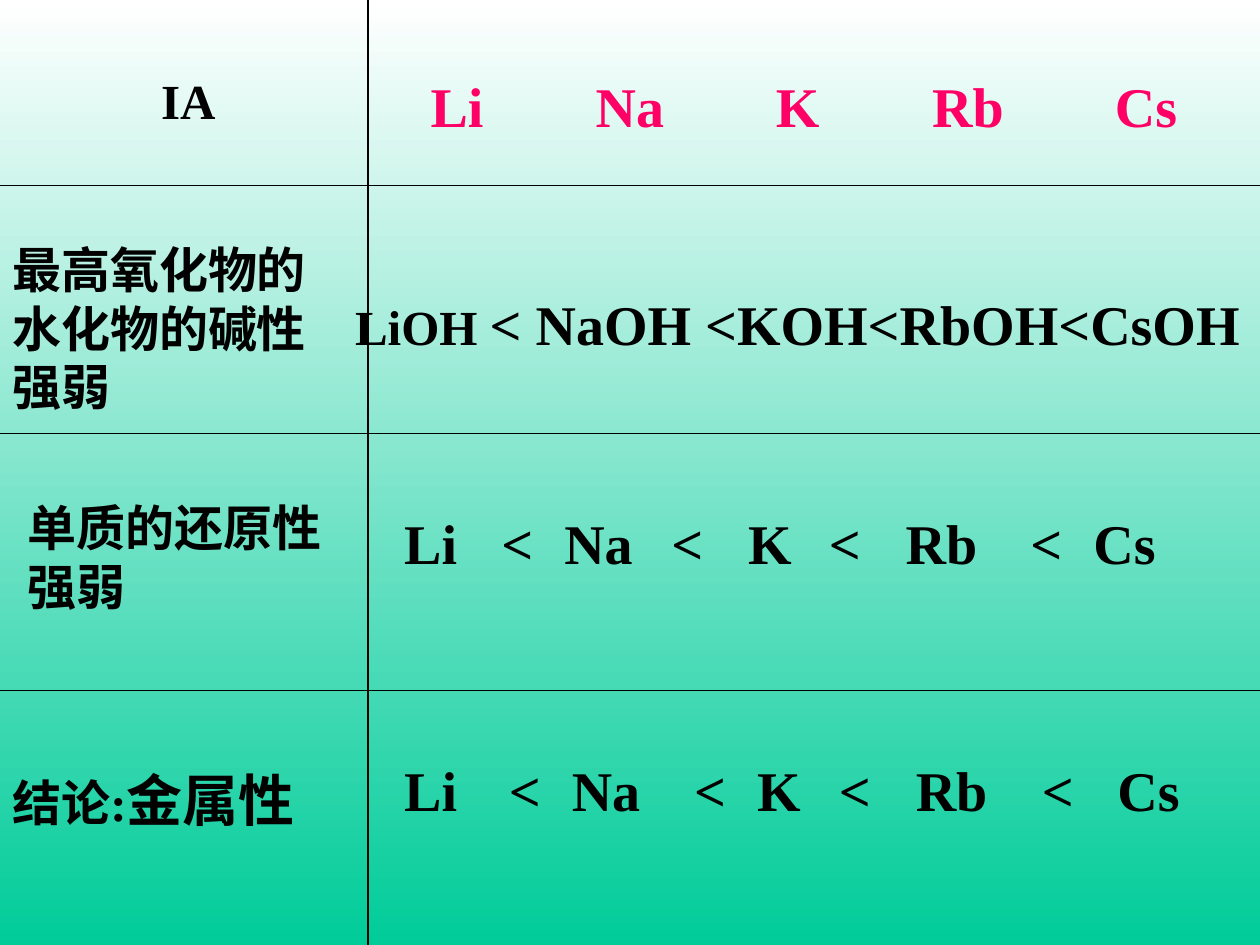
import pptx
import pptx.dml.color
import pptx.enum.shapes
import pptx.enum.text
import pptx.oxml
import pptx.oxml.ns
import pptx.util
from pptx.util import Inches

WIDTH, HEIGHT = 10, 7.5
BLACK, PINK = "000000", "FF0066"
BACKGROUND = ("FFFFFF", "00CC99")
ROW_LINES = (1.47, 3.44, 5.48)
COLUMN_LINE = 2.92
FONT = {"name": "Times New Roman", "bold": True}
FRAME = {"word_wrap": True, "auto_size": pptx.enum.text.MSO_AUTO_SIZE.NONE}

# (left, top, width, height), [(text, size, colour)]
LABELS = [
    ((1.18, 0.51, 0.9, 0.57), [("IA", 28, BLACK)]),
    ((0, 1.85, 2.83, 1.5), [("最高氧化物的水化物的碱性强弱", 28, BLACK)]),
    ((2.72, 2.25, 7.28, 0.71),
     [("LiOH ", 28, BLACK), ("< NaOH <KOH<RbOH<CsOH", 32, BLACK)]),
    ((0.12, 3.9, 2.75, 1.04), [("单质的还原性强弱", 28, BLACK)]),
    ((0, 6.03, 2.72, 0.64), [("结论:", 28, BLACK), ("金属性", 32, BLACK)]),
]

# (left, top, width, height), separator, colour, tab stops from the text edge
ELEMENTS = ["Li", "Na", "K", "Rb", "Cs"]
SERIES = [
    ((3.32, 0.52, 6.43, 0.64), "\t", PINK, (1.31, 2.74, 3.98, 5.43)),
    ((3.11, 3.99, 6.75, 0.71), "\t<\t", BLACK,
     (0.77, 1.27, 2.12, 2.73, 3.37, 3.98, 4.97, 5.47)),
    ((3.11, 5.95, 6.69, 0.64), "\t<\t", BLACK,
     (0.83, 1.33, 2.3, 2.8, 3.45, 4.06, 5.06, 5.66)),
]


def rgb(colour):
    return pptx.dml.color.RGBColor.from_string(colour)


def set_values(target, values):
    for name, value in values.items():
        setattr(target, name, value)


def add_rule(slide, start, end):
    connector = slide.shapes.add_connector(
        pptx.enum.shapes.MSO_CONNECTOR.STRAIGHT,
        *(Inches(value) for value in start + end))
    connector.line.color.rgb = rgb(BLACK)
    connector.line.width = pptx.util.Pt(0.75)
    properties = connector._element.spPr
    properties.append(pptx.oxml.parse_xml(
        f"<a:effectLst {pptx.oxml.ns.nsdecls('a')}/>"))


def add_text(slide, box, runs, tabs=()):
    shape = slide.shapes.add_textbox(*(Inches(value) for value in box))
    set_values(shape.text_frame, FRAME)
    paragraph = shape.text_frame.paragraphs[0]
    if tabs:
        stops = "".join(f'<a:tab pos="{Inches(tab)}" algn="l"/>' for tab in tabs)
        paragraph._p.get_or_add_pPr().append(pptx.oxml.parse_xml(
            f"<a:tabLst {pptx.oxml.ns.nsdecls('a')}>{stops}</a:tabLst>"))
    for text, size, colour in runs:
        run = paragraph.add_run()
        run.text = text
        set_values(run.font, {**FONT, "size": pptx.util.Pt(size)})
        run.font.color.rgb = rgb(colour)


def main():
    presentation = pptx.Presentation()
    set_values(presentation, {"slide_width": Inches(WIDTH),
                              "slide_height": Inches(HEIGHT)})
    slide = presentation.slides.add_slide(presentation.slide_layouts[6])
    fill = slide.background.fill
    fill.gradient()
    fill.gradient_angle = 270
    for stop, colour, position in zip(fill.gradient_stops, BACKGROUND, (0, 1)):
        stop.color.rgb = rgb(colour)
        stop.position = position

    for y in ROW_LINES:
        add_rule(slide, (0, y), (WIDTH, y))
    add_rule(slide, (COLUMN_LINE, 0), (COLUMN_LINE, HEIGHT))
    for box, runs in LABELS:
        add_text(slide, box, runs)
    for box, separator, colour, tabs in SERIES:
        add_text(slide, box, [(separator.join(ELEMENTS), 32, colour)], tabs)
    presentation.save("out.pptx")


if __name__ == "__main__":
    main()
